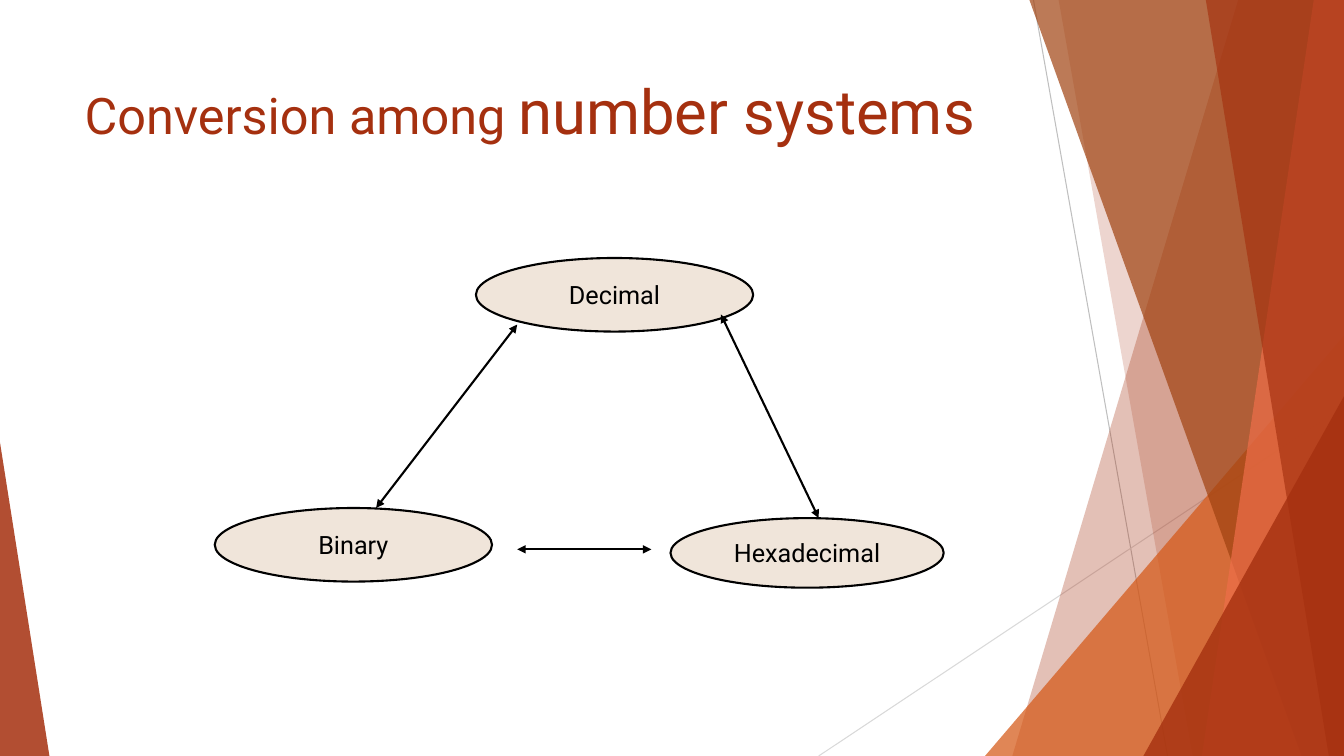
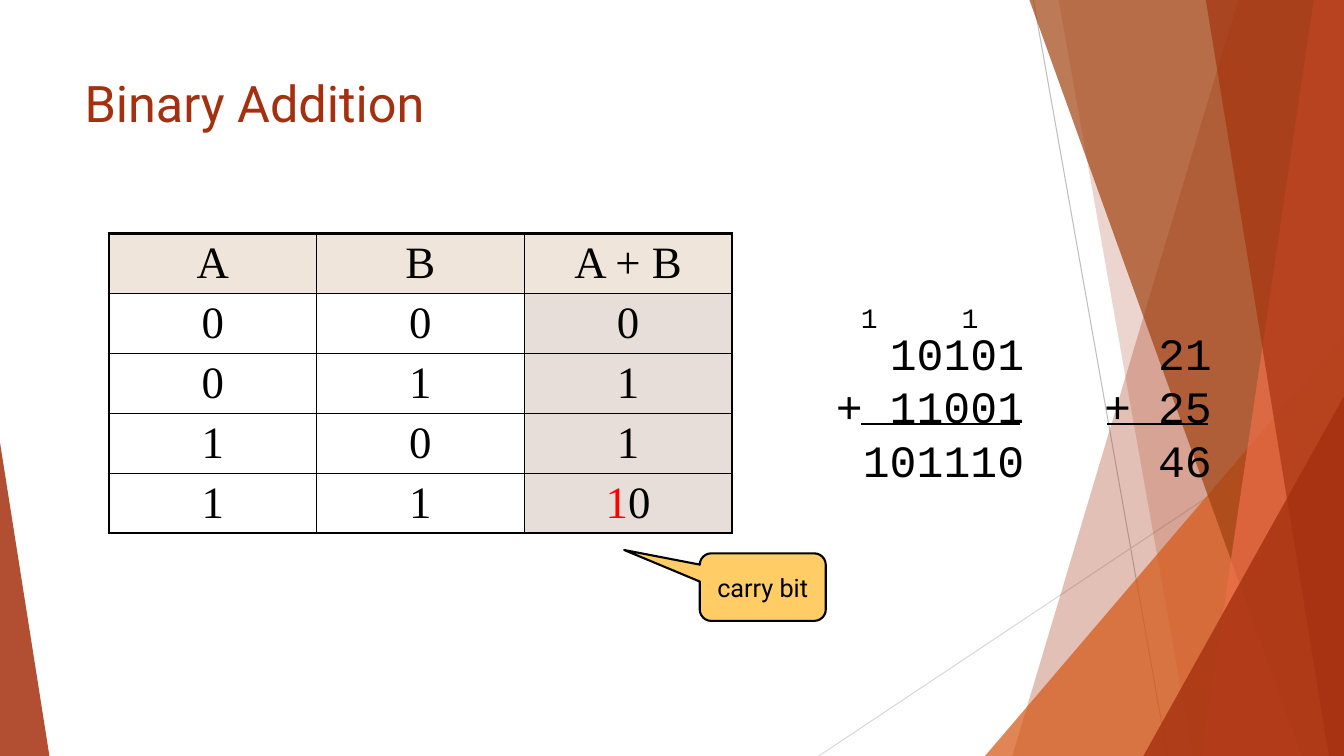
import pptx
import pptx.dml.color
import pptx.enum.shapes
import pptx.enum.text
import pptx.oxml
import pptx.oxml.ns
import pptx.util

PX = 9144
WIDTH, HEIGHT = 1333, 750
RUST, BLACK, CREAM, MAUVE, AMBER, RED = "A5300F", "000000", "F0E5DA", "E7DEDA", "FFCC66", "FF0000"
BODY, SERIF, MONO = "Roboto", "Times New Roman", "Courier New"
SHAPE = pptx.enum.shapes.MSO_SHAPE
ALIGN = pptx.enum.text.PP_ALIGN
ANCHOR = pptx.enum.text.MSO_ANCHOR


def px(*lengths):
    return [pptx.util.Emu(length * PX) for length in lengths]


def rgb(color):
    return pptx.dml.color.RGBColor.from_string(color)


def element(tag, **attributes):
    node = pptx.oxml.parse_xml(f"<a:{tag} {pptx.oxml.ns.nsdecls('a')}/>")
    for name, value in attributes.items():
        node.set(name, str(value))
    return node


def write_text(frame, text, size=18, color=BLACK, font=BODY, align=ALIGN.LEFT,
               anchor=ANCHOR.TOP, wrap=True, margin=None, spacing=None):
    frame.word_wrap = wrap
    frame.vertical_anchor = anchor
    if margin is not None:
        frame.margin_left = frame.margin_right = frame.margin_top = frame.margin_bottom = px(margin)[0]
    lines = [[(line, {})] for line in text.split("\n")] if isinstance(text, str) else [text]
    for index, runs in enumerate(lines):
        paragraph = frame.add_paragraph() if index else frame.paragraphs[0]
        paragraph.alignment = align
        if spacing:
            paragraph.line_spacing = pptx.util.Pt(spacing)
        for piece, changes in runs:
            run = paragraph.add_run()
            run.text = piece
            run.font.size = pptx.util.Pt(changes.get("size", size))
            run.font.name = font
            run.font.color.rgb = rgb(changes.get("color", color))


def add_text(slide, left, top, width, height, text, **style):
    box = slide.shapes.add_textbox(*px(left, top, width, height))
    write_text(box.text_frame, text, **style)


def paint(shape, color, opacity=100, outline=None):
    shape.shadow.inherit = False
    shape.fill.solid()
    shape.fill.fore_color.rgb = rgb(color)
    if opacity < 100:
        fill = shape.fill._xPr.find(pptx.oxml.ns.qn("a:solidFill"))
        fill[0].append(element("alpha", val=opacity * 1000))
    if outline:
        shape.line.color.rgb = rgb(outline)
        shape.line.width = pptx.util.Pt(1.5)
    else:
        shape.line.fill.background()


def add_shape(slide, kind, left, top, width, height, color, adjustments=(), **look):
    shape = slide.shapes.add_shape(kind, *px(left, top, width, height))
    for index, value in enumerate(adjustments):
        shape.adjustments[index] = value
    paint(shape, color, **look)
    return shape


def add_line(slide, x1, y1, x2, y2, color=BLACK, weight=1.5, arrows=False):
    line = slide.shapes.add_connector(
        pptx.enum.shapes.MSO_CONNECTOR.STRAIGHT, *px(x1, y1, x2, y2))
    line.line.color.rgb = rgb(color)
    line.line.width = pptx.util.Pt(weight)
    if arrows:
        for tag in ("headEnd", "tailEnd"):
            line.line._get_or_add_ln().append(element(tag, type="triangle"))
    line._element.spPr.append(element("effectLst"))


def add_sheet(slide, top_x, bottom_x, color, opacity):
    builder = slide.shapes.build_freeform(top_x, 0, scale=PX)
    builder.add_line_segments([(WIDTH, 0), (WIDTH, HEIGHT), (bottom_x, HEIGHT)])
    paint(builder.convert_to_shape(), color, opacity)


def add_corner(slide, left, top, width, apex, color, opacity):
    add_shape(slide, SHAPE.ISOSCELES_TRIANGLE, left, top, width, HEIGHT - top,
              color, [apex], opacity=opacity)


def draw_backdrop(slide):
    add_line(slide, 1025, 0, 1158, HEIGHT, "BFBFBF", 0.75)
    add_line(slide, WIDTH, 403, 812, HEIGHT, "D9D9D9", 0.75)
    add_sheet(slide, 1228, 1004, RUST, 30)
    add_sheet(slide, 1050, 1183, RUST, 20)
    add_corner(slide, 977, 333, 356, 1, "D55816", 72)
    add_sheet(slide, 1021, 1291, "A04210", 70)
    add_sheet(slide, 1303, 1192, "EE6E4A", 70)
    add_sheet(slide, 1196, 1318, RUST, 65)
    add_corner(slide, 1134, 393, 199, 1, RUST, 80)
    add_corner(slide, 0, 439, 49, 0, RUST, 85)


def start_slide(presentation, title):
    slide = presentation.slides.add_slide(presentation.slide_layouts[6])
    draw_backdrop(slide)
    add_text(slide, 74, 67, 940, 144, title, size=36, color=RUST)
    return slide


def draw_conversions(slide, left, top):
    systems = [("Hexadecimal", 452, 258, 271, 69),
               ("Decimal", 259, 0, 275, 73),
               ("Binary", 0, 248, 275, 73)]
    for name, x, y, width, height in systems:
        ellipse = add_shape(slide, SHAPE.OVAL, left + x, top + y, width, height,
                            CREAM, outline=BLACK)
        write_text(ellipse.text_frame, name, align=ALIGN.CENTER,
                   anchor=ANCHOR.MIDDLE, wrap=False)
    for x1, y1, x2, y2 in [(599, 258, 502, 56), (160, 248, 300, 66), (300, 289, 433, 289)]:
        add_line(slide, left + x1, top + y1, left + x2, top + y2, arrows=True)


def add_border(cell, side, weight):
    border = element(f"ln{side}", w=pptx.util.Pt(weight))
    fill = element("solidFill")
    fill.append(element("srgbClr", val=BLACK))
    border.append(fill)
    cell._tc.get_or_add_tcPr().append(border)


def draw_truth_table(slide, left, top, width, height):
    rows = [("A", "B", "A + B"), ("0", "0", "0"), ("0", "1", "1"), ("1", "0", "1"),
            ("1", "1", [("1", {"color": RED}), ("0", {})])]
    last_row, last_column = len(rows) - 1, len(rows[0]) - 1
    table = slide.shapes.add_table(len(rows), len(rows[0]), *px(left, top, width, height)).table
    table.first_row = table.horz_banding = False
    for r, values in enumerate(rows):
        for c, value in enumerate(values):
            cell = table.cell(r, c)
            edges = {"L": c == 0, "R": c == last_column, "T": r == 0, "B": r == last_row}
            for side, outer in edges.items():
                add_border(cell, side, 2.25 if outer else 1)
            color = CREAM if r == 0 else MAUVE if c == last_column else None
            if color:
                cell.fill.solid()
                cell.fill.fore_color.rgb = rgb(color)
            else:
                cell.fill.background()
            cell.margin_top = cell.margin_bottom = px(3)[0]
            cell.vertical_anchor = ANCHOR.MIDDLE
            write_text(cell.text_frame, value, size=32, font=SERIF, align=ALIGN.CENTER)


def draw_sum(slide, left, top, width, text, rule_left, rule_width):
    add_text(slide, left, top, width, 162, text, size=32, font=MONO,
             align=ALIGN.RIGHT, margin=0, spacing=38.3)
    add_line(slide, left + rule_left, top + 98, left + rule_left + rule_width, top + 98)


def draw_carry_callout(slide, left, top):
    callout = add_shape(slide, SHAPE.ROUNDED_RECTANGULAR_CALLOUT, left, top, 125, 67,
                        AMBER, [-1.1, -0.55, 0.17], outline=BLACK)
    write_text(callout.text_frame, "carry bit", align=ALIGN.CENTER, anchor=ANCHOR.MIDDLE)


def build_conversion_slide(presentation):
    slide = start_slide(presentation, [("Conversion among ", {}), ("number systems", {"size": 44})])
    draw_conversions(slide, 213, 256)


def build_addition_slide(presentation):
    slide = start_slide(presentation, "Binary Addition")
    draw_truth_table(slide, 108, 232, 618, 296)
    draw_carry_callout(slide, 694, 549)
    draw_sum(slide, 809, 323, 207, "10101\n+ 11001\n101110", 45, 158)
    draw_sum(slide, 1075, 323, 127, "21\n+ 25\n46", 23, 100)
    for carry_left in (944, 844):
        add_text(slide, carry_left, 293, 37, 44, "1", size=20, font=MONO, wrap=False)


def main():
    presentation = pptx.Presentation()
    presentation.slide_width, presentation.slide_height = px(WIDTH, HEIGHT)
    build_conversion_slide(presentation)
    build_addition_slide(presentation)
    presentation.save("out.pptx")


if __name__ == "__main__":
    main()
